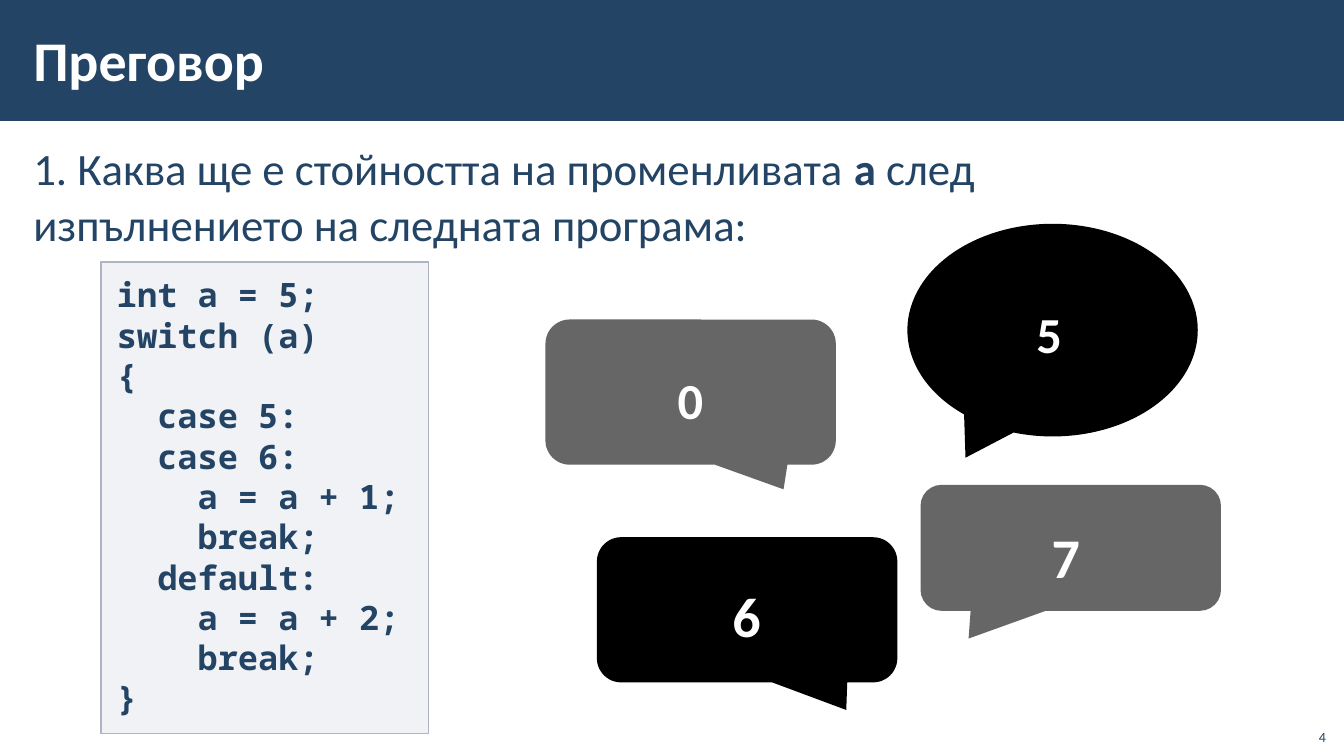
import pptx
import pptx.util
import pptx.dml.color
import pptx.enum.shapes
import pptx.enum.text
import pptx.oxml.ns
import lxml.etree

PX = 9144  # 100 px to the inch
NAVY, WHITE, BLACK, GRAY = "234465", "FFFFFF", "000000", "666666"
KIND = pptx.enum.shapes.MSO_SHAPE
ALIGN = pptx.enum.text.PP_ALIGN
ANCHOR = pptx.enum.text.MSO_ANCHOR


def color(code):
    return pptx.dml.color.RGBColor.from_string(code)


def style(frame, size, code, bold=False, face="Calibri", pad=(16, 12, 16, 12),
          anchor=ANCHOR.TOP, align=ALIGN.LEFT, space=1.0):
    sides = ("margin_left", "margin_top", "margin_right", "margin_bottom")
    look = {side: n * PX for side, n in zip(sides, pad)}
    look |= {"word_wrap": True, "vertical_anchor": anchor,
             "auto_size": pptx.enum.text.MSO_AUTO_SIZE.NONE}
    for key, value in look.items():
        setattr(frame, key, value)
    for para in frame.paragraphs:
        para.alignment, para.line_spacing = align, space
        font = {"size": pptx.util.Pt(size), "bold": bold, "name": face}
        for key, value in font.items():
            setattr(para.font, key, value)
        para.font.color.rgb = color(code)


deck = pptx.Presentation()
deck.slide_width, deck.slide_height = 1333 * PX, 750 * PX
slide = deck.slides.add_slide(deck.slide_layouts[5])
shapes = slide.shapes

# Header band, kept behind the title
band = shapes.add_shape(KIND.RECTANGLE, 0, 0, 1333 * PX, 120 * PX)
band.shadow.inherit = False
band.fill.solid()
band.fill.fore_color.rgb = color(NAVY)
band.line.fill.background()
shapes.title.element.addprevious(band.element)

# Title
title = shapes.title
place = {"left": 21, "top": 11, "width": 1062, "height": 96}
for key, value in place.items():
    setattr(title, key, value * PX)
title.text_frame.text = "Преговор"
style(title.text_frame, 40, WHITE, True, pad=(12, 4, 12, 4), anchor=ANCHOR.MIDDLE)

# Question
ask = shapes.add_textbox(21 * PX, 133 * PX, 1291 * PX, 567 * PX).text_frame
para = ask.paragraphs[0]
para.add_run().text = "1. Каква ще е стойността на променливата "
key_run = para.add_run()
key_run.text = "а "
key_run.font.bold = True
para.add_run().text = "след "
para.add_line_break()
para.add_run().text = "изпълнението на следната програма:"
style(ask, 32, NAVY, pad=(12, 4, 12, 4), space=1.05)
para.space_after = pptx.util.Pt(6)

# Code
code = """int a = 5;
switch (a)
{
  case 5:
  case 6:
    a = a + 1;
    break;
  default:
    a = a + 2;
    break;
}"""
box = shapes.add_shape(KIND.RECTANGLE, 100 * PX, 260 * PX, 325 * PX, 468 * PX)
box.shadow.inherit = False
box.fill.solid()
box.fill.fore_color.rgb = color("A3ABBC")
tint = box.element.spPr.find(".//" + pptx.oxml.ns.qn("a:srgbClr"))
lxml.etree.SubElement(tint, pptx.oxml.ns.qn("a:alpha"), val="15000")
box.line.color.rgb = color("ADB4C3")
box.line.width = pptx.util.Pt(1)
box.text_frame.text = code
style(box.text_frame, 24, NAVY, True, "Noto Sans Mono")

# Answers: bubble kind, place, tail, fill; then label, place, size, left pad, look
OVAL, ROUND = KIND.OVAL_CALLOUT, KIND.ROUNDED_RECTANGULAR_CALLOUT
answers = [
    (OVAL, (900, 222, 288, 211), (-0.3, 0.6), BLACK,
     "5", (962, 289, 171, 84), 36, 66, ALIGN.LEFT, 1.0),
    (ROUND, (913, 481, 298, 125), (-0.34, 0.72), GRAY,
     "7", (910, 500, 294, 97), 40, 16, ALIGN.CENTER, 1.1),
    (ROUND, (541, 317, 288, 144), (0.32, 0.67), GRAY,
     "0", (656, 348, 91, 90), 36, 16, ALIGN.LEFT, 1.1),
    (ROUND, (592, 533, 298, 144), (0.33, 0.69), BLACK,
     "6", (606, 558, 269, 97), 40, 16, ALIGN.CENTER, 1.1),
]
for kind, spot, tail, fill, text, area, size, left, align, space in answers:
    group = shapes.add_group_shape().shapes
    bubble = group.add_shape(kind, *(n * PX for n in spot))
    bubble.shadow.inherit = False
    bubble.fill.solid()
    bubble.fill.fore_color.rgb = color(fill)
    bubble.line.fill.background()
    for i, value in enumerate(tail):
        bubble.adjustments[i] = value
    label = group.add_textbox(*(n * PX for n in area)).text_frame
    label.text = text
    style(label, size, WHITE, True, pad=(left, 12, 16, 12), align=align, space=space)

# Slide number
number = shapes.add_textbox(1285 * PX, 712 * PX, 40 * PX, 32 * PX).text_frame
number.text = "4"
style(number, 10, NAVY, pad=(10, 5, 10, 5), anchor=ANCHOR.BOTTOM, align=ALIGN.RIGHT)

deck.save("out.pptx")
